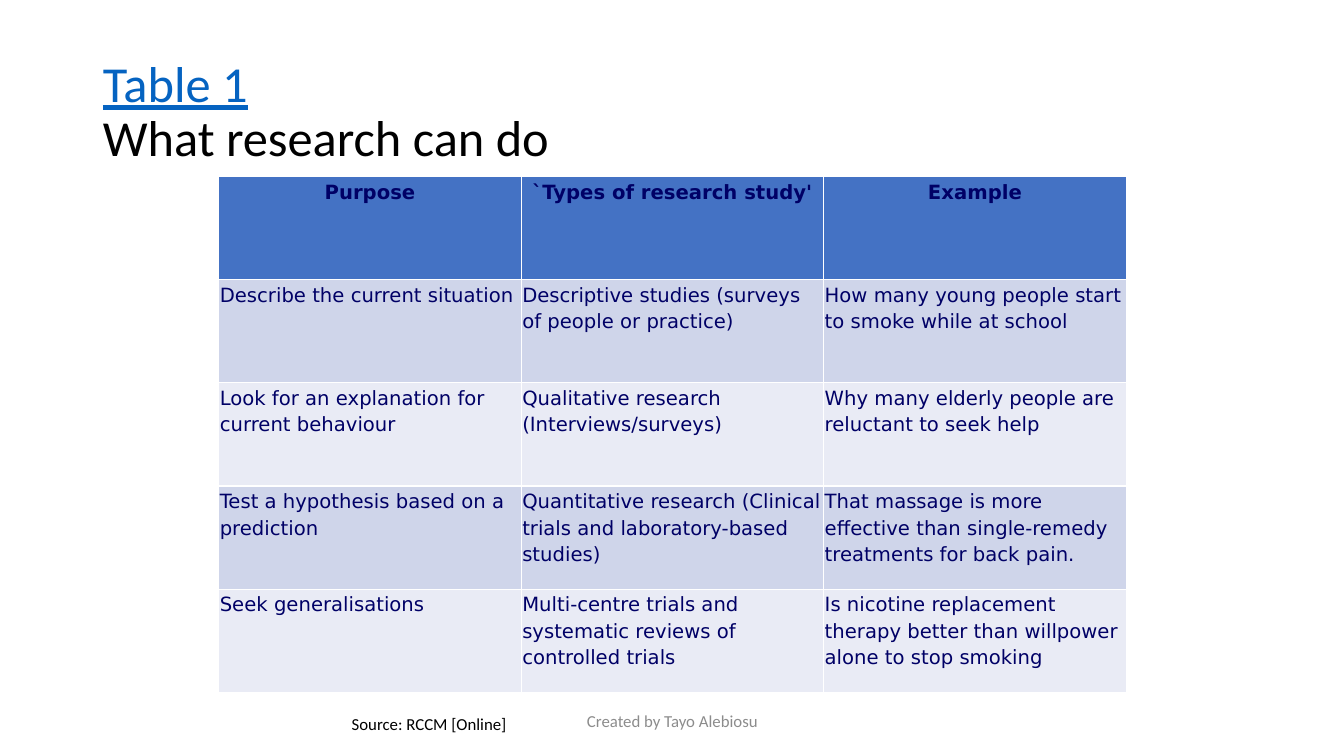
from pptx import Presentation
from pptx.dml.color import RGBColor
from pptx.enum.text import MSO_ANCHOR, MSO_AUTO_SIZE, PP_ALIGN
from pptx.util import Inches, Pt

BLACK = RGBColor(0x00, 0x00, 0x00)
GREY = RGBColor(0x8C, 0x8C, 0x8C)
LINK_BLUE = RGBColor(0x05, 0x63, 0xC1)
NAVY = RGBColor(0x00, 0x00, 0x66)
HEADER_FILL = RGBColor(0x44, 0x72, 0xC4)
BAND_FILLS = RGBColor(0xCF, 0xD5, 0xEA), RGBColor(0xE9, 0xEB, 0xF5)

ROWS = [
    ("Purpose", "`Types of research study'", "Example"),
    ("Describe the current situation",
     "Descriptive studies (surveys of people or practice)",
     "How many young people start to smoke while at school"),
    ("Look for an explanation for current behaviour",
     "Qualitative research (Interviews/surveys)",
     "Why many elderly people are reluctant to seek help"),
    ("Test a hypothesis based on a prediction",
     "Quantitative research (Clinical trials and laboratory-based studies)",
     "That massage is more effective than single-remedy treatments for back pain."),
    ("Seek generalisations",
     "Multi-centre trials and systematic reviews of controlled trials",
     "Is nicotine replacement therapy better than willpower alone to stop smoking"),
]


def set_font(font, name, size, color, bold=False):
    font.name = name
    font.size = Pt(size)
    font.color.rgb = color
    font.bold = bold


def set_title(s, label, heading):
    sp = s.shapes.title
    sp.left, sp.top = Inches(0.92), Inches(0.4)
    sp.width, sp.height = Inches(11.5), Inches(1.45)
    tf = sp.text_frame
    tf.auto_size = MSO_AUTO_SIZE.NONE
    tf.vertical_anchor = MSO_ANCHOR.MIDDLE
    p = tf.paragraphs[0]
    p.alignment = PP_ALIGN.LEFT
    p.line_spacing = 0.9
    set_font(p.font, "Calibri", 36, BLACK)
    r = p.add_run()
    r.text = label
    r.font.underline = True
    r.font.color.rgb = LINK_BLUE
    p.add_line_break()
    p.add_run().text = heading


def fill_cell(cell, value, fill, header):
    cell.fill.solid()
    cell.fill.fore_color.rgb = fill
    cell.margin_left = cell.margin_right = Inches(0.01)
    cell.margin_top = cell.margin_bottom = Inches(0.01)
    cell.text = value
    p = cell.text_frame.paragraphs[0]
    p.line_spacing = 1.15
    if header:
        p.alignment = PP_ALIGN.CENTER
    else:
        p.space_after = Pt(10)
    set_font(p.font, "DejaVu Sans", 14, NAVY, header)


def add_research_table(s):
    table = s.shapes.add_table(len(ROWS), len(ROWS[0]), Inches(2.17),
                               Inches(1.75), Inches(9), Inches(5.12)).table
    for i, row in enumerate(ROWS):
        fill = BAND_FILLS[(i - 1) % 2] if i else HEADER_FILL
        for j, value in enumerate(row):
            fill_cell(table.cell(i, j), value, fill, i == 0)


def add_note(s, value, left, top, width, height, color,
             align=PP_ALIGN.LEFT, anchor=MSO_ANCHOR.TOP):
    sp = s.shapes.add_textbox(Inches(left), Inches(top), Inches(width), Inches(height))
    tf = sp.text_frame
    tf.word_wrap = True
    tf.vertical_anchor = anchor
    p = tf.paragraphs[0]
    p.text = value
    p.alignment = align
    set_font(p.font, "Calibri", 12, color)


def main():
    prs = Presentation()
    prs.slide_width, prs.slide_height = Inches(13.33), Inches(7.5)
    s = prs.slides.add_slide(prs.slide_layouts[5])
    set_title(s, "Table 1", "What research can do")
    add_research_table(s)
    add_note(s, "Source: RCCM [Online]", 3.39, 7.03, 6.56, 0.3, BLACK)
    add_note(s, "Created by Tayo Alebiosu", 4.42, 6.95, 4.5, 0.4, GREY,
             PP_ALIGN.CENTER, MSO_ANCHOR.MIDDLE)
    prs.save("out.pptx")


if __name__ == "__main__":
    main()
